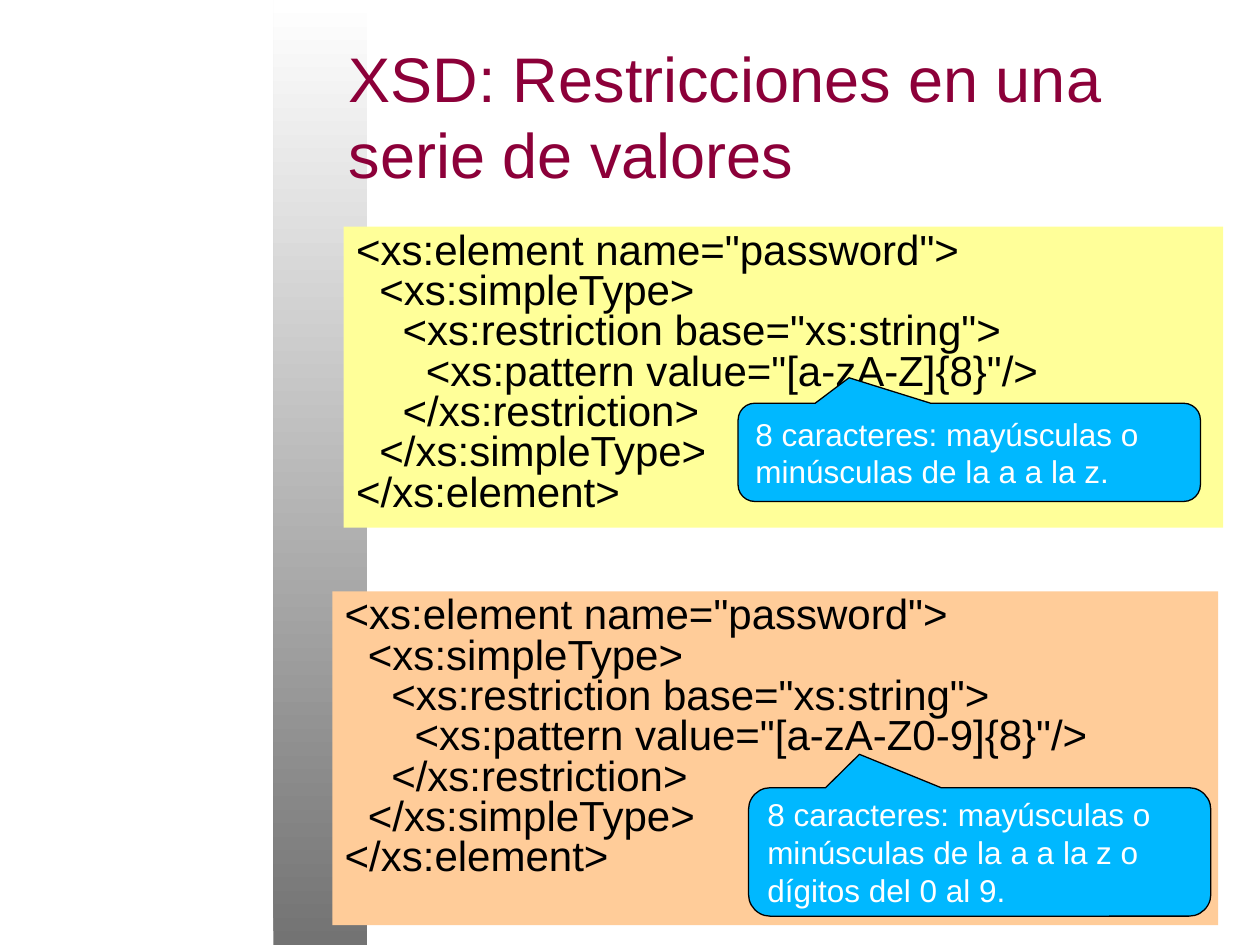
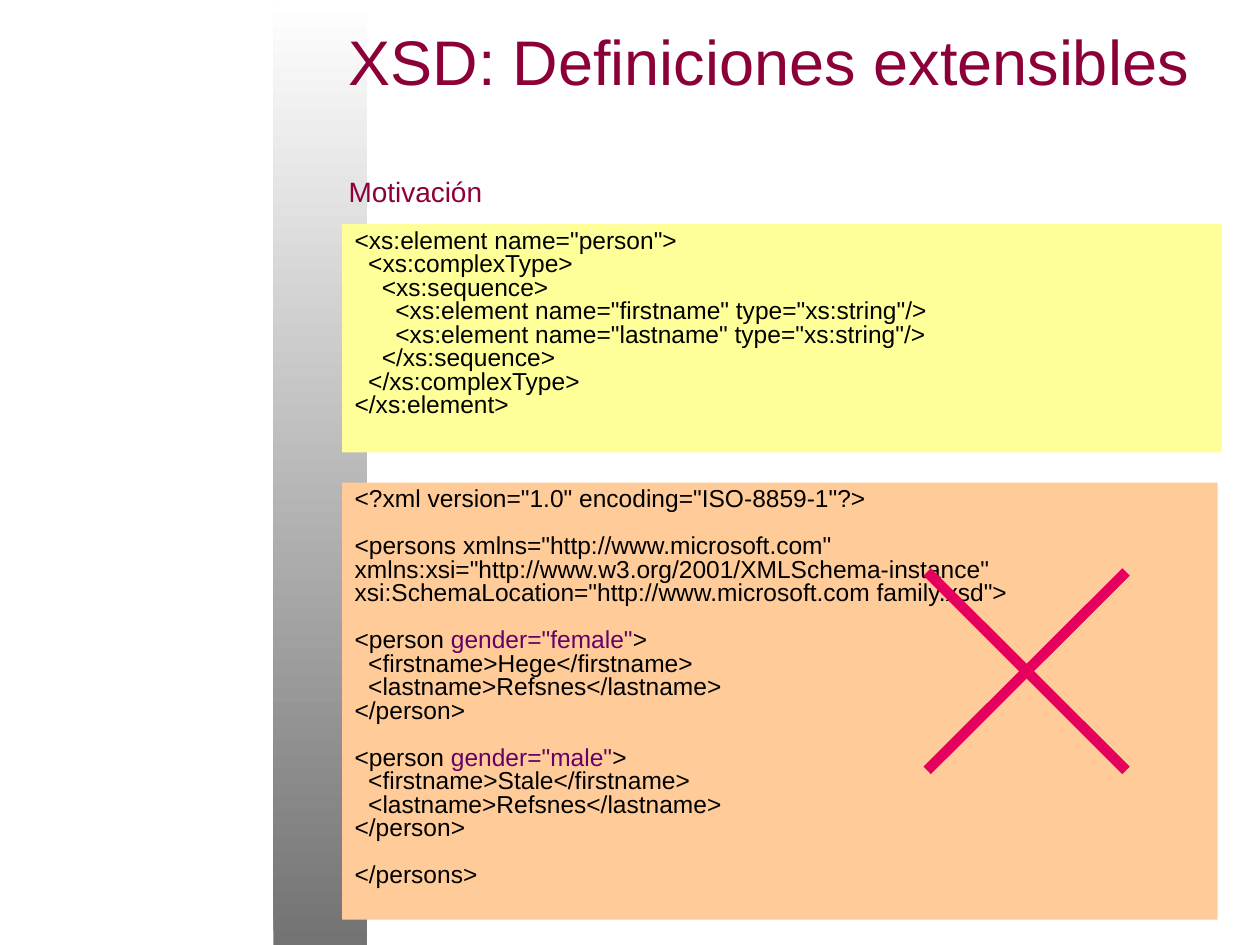
from dataclasses import dataclass

from lxml import etree
from pptx import Presentation
from pptx import util as u
from pptx.dml import color
from pptx.enum import shapes, text
from pptx.oxml import ns


@dataclass(frozen=True)
class Theme:
    font: str = "Arial"
    title: str = "8C0039"
    code: str = "000000"
    accent: str = "660066"
    schema_fill: str = "FFFF99"
    example_fill: str = "FFCC99"
    callout_fill: str = "00B8FF"
    callout_text: str = "FFFFFF"
    outline: str = "000000"
    cross: str = "E4005C"
    band_bottom: str = "737373"
    band_top: str = "FFFFFF"
    title_size: int = 36
    subtitle_size: int = 16
    callout_size: int = 18


THEME = Theme()

# Content: blank lines split code into paragraphs, bars enclose accented code
PASSWORD_SCHEMA = """<xs:element name="password">
  <xs:simpleType>
    <xs:restriction base="xs:string">
      <xs:pattern value="{pattern}"/>
    </xs:restriction>
  </xs:simpleType>
</xs:element>"""

PERSON_SCHEMA = """<xs:element name="person">
  <xs:complexType>
    <xs:sequence>
      <xs:element name="firstname" type="xs:string"/>
      <xs:element name="lastname" type="xs:string"/>
    </xs:sequence>
  </xs:complexType>
</xs:element>"""

PERSONS_EXAMPLE = """<?xml version="1.0" encoding="ISO-8859-1"?>

<persons xmlns="http://www.microsoft.com"
xmlns:xsi="http://www.w3.org/2001/XMLSchema-instance"
xsi:SchemaLocation="http://www.microsoft.com family.xsd">

<person |gender="female"|>
  <firstname>Hege</firstname>
  <lastname>Refsnes</lastname>
</person>

<person |gender="male"|>
  <firstname>Stale</firstname>
  <lastname>Refsnes</lastname>
</person>

</persons>"""

# Boxes are left, top, width, height in centimetres
SLIDES = [
    {
        "title": "XSD: Restricciones en una serie de valores",
        "title_box": (6.78, 0.64, 17.78, 3.38),
        "code_size": 24,
        "code": [
            (PASSWORD_SCHEMA.replace("{pattern}", "[a-zA-Z]{8}"),
             THEME.schema_fill, (6.93, 4.57, 17.73, 6.07)),
            (PASSWORD_SCHEMA.replace("{pattern}", "[a-zA-Z0-9]{8}"),
             THEME.example_fill, (6.7, 11.92, 17.86, 6.73)),
        ],
        "callouts": [
            ("8 caracteres: mayúsculas o minúsculas de la a a la z.",
             (14.88, 8.13, 9.32, 1.98)),
            ("8 caracteres: mayúsculas o minúsculas de la a a la z o dígitos del 0 al 9.",
             (15.09, 15.88, 9.32, 2.59)),
        ],
    },
    {
        "title": "XSD: Definiciones extensibles",
        "subtitle": "Motivación",
        "title_box": (6.78, 0.33, 17.78, 3.99),
        "code_size": 14,
        "code": [
            (PERSON_SCHEMA, THEME.schema_fill, (6.9, 4.52, 17.73, 4.6)),
            (PERSONS_EXAMPLE, THEME.example_fill, (6.9, 9.73, 17.65, 8.81)),
        ],
        "cross": (18.69, 11.53, 4.01, 4),
    },
]


def rgb(value):
    return color.RGBColor.from_string(value)


def lengths(box):
    return [u.Cm(value) for value in box]


def write(frame, content, *, size, ink, anchor=text.MSO_ANCHOR.MIDDLE,
          spacing=None, gap=0, new=False):
    """Add paragraphs to a frame, with a gap in points between them."""
    frame.word_wrap = True
    frame.vertical_anchor = anchor
    for index, block in enumerate(content.split("\n\n")):
        first = index == 0 and not new
        para = frame.paragraphs[0] if first else frame.add_paragraph()
        para.alignment = text.PP_ALIGN.LEFT
        para.line_spacing = spacing
        para.space_before = u.Pt(0 if first else gap)
        for part, piece in enumerate(block.split("|")):
            for row, line in enumerate(piece.split("\n")):
                if row:
                    para.add_line_break()
                if not line:
                    continue
                span = para.add_run()
                span.text = line
                span.font.name = THEME.font
                span.font.size = u.Pt(size)
                span.font.color.rgb = rgb(THEME.accent if part % 2 else ink)


def add_panel(page, kind, box, fill):
    panel = page.shapes.add_shape(kind, *lengths(box))
    panel.shadow.inherit = False
    panel.fill.solid()
    panel.fill.fore_color.rgb = rgb(fill)
    panel.line.fill.background()
    return panel


def add_band(page):
    band = add_panel(page, shapes.MSO_SHAPE.RECTANGLE, (5.51, 0, 1.9, 19.05), THEME.band_top)
    band.fill.gradient()
    band.fill.gradient_angle = 90
    for stop, shade in zip(band.fill.gradient_stops, (THEME.band_bottom, THEME.band_top)):
        stop.color.rgb = rgb(shade)


def add_title(page, title, box, subtitle=None):
    frame = page.shapes.add_textbox(*lengths(box)).text_frame
    write(frame, title, size=THEME.title_size, ink=THEME.title)
    if subtitle:
        write(frame, subtitle, size=THEME.subtitle_size, ink=THEME.title,
              gap=1.2 * THEME.title_size, new=True)


def add_code(page, code, fill, box, size):
    panel = add_panel(page, shapes.MSO_SHAPE.RECTANGLE, box, fill)
    write(panel.text_frame, code, size=size, ink=THEME.code,
          anchor=text.MSO_ANCHOR.TOP, spacing=0.8, gap=0.96 * size)


def add_callout(page, note, box):
    callout = add_panel(page, shapes.MSO_SHAPE.ROUNDED_RECTANGULAR_CALLOUT,
                        box, THEME.callout_fill)
    for index, value in enumerate((-0.26, -0.76, 0.17)):
        callout.adjustments[index] = value
    callout.line.color.rgb = rgb(THEME.outline)
    callout.line.width = u.Pt(0.75)
    write(callout.text_frame, note, size=THEME.callout_size, ink=THEME.callout_text)


def add_cross(page, box):
    left, top, width, height = lengths(box)
    right, bottom = left + width, top + height
    for start, end in ((top, bottom), (bottom, top)):
        stroke = page.shapes.add_connector(
            shapes.MSO_CONNECTOR.STRAIGHT, right, start, left, end)
        stroke.line.color.rgb = rgb(THEME.cross)
        stroke.line.width = u.Pt(6)
        etree.SubElement(stroke._element.spPr, ns.qn("a:effectLst"))


def main():
    deck = Presentation()
    deck.slide_width, deck.slide_height = u.Cm(25.4), u.Cm(19.05)
    for content in SLIDES:
        page = deck.slides.add_slide(deck.slide_layouts[6])
        add_band(page)
        add_title(page, content["title"], content["title_box"], content.get("subtitle"))
        for code, fill, box in content["code"]:
            add_code(page, code, fill, box, content["code_size"])
        for note, box in content.get("callouts", []):
            add_callout(page, note, box)
        if "cross" in content:
            add_cross(page, content["cross"])
    deck.save("out.pptx")


if __name__ == "__main__":
    main()
